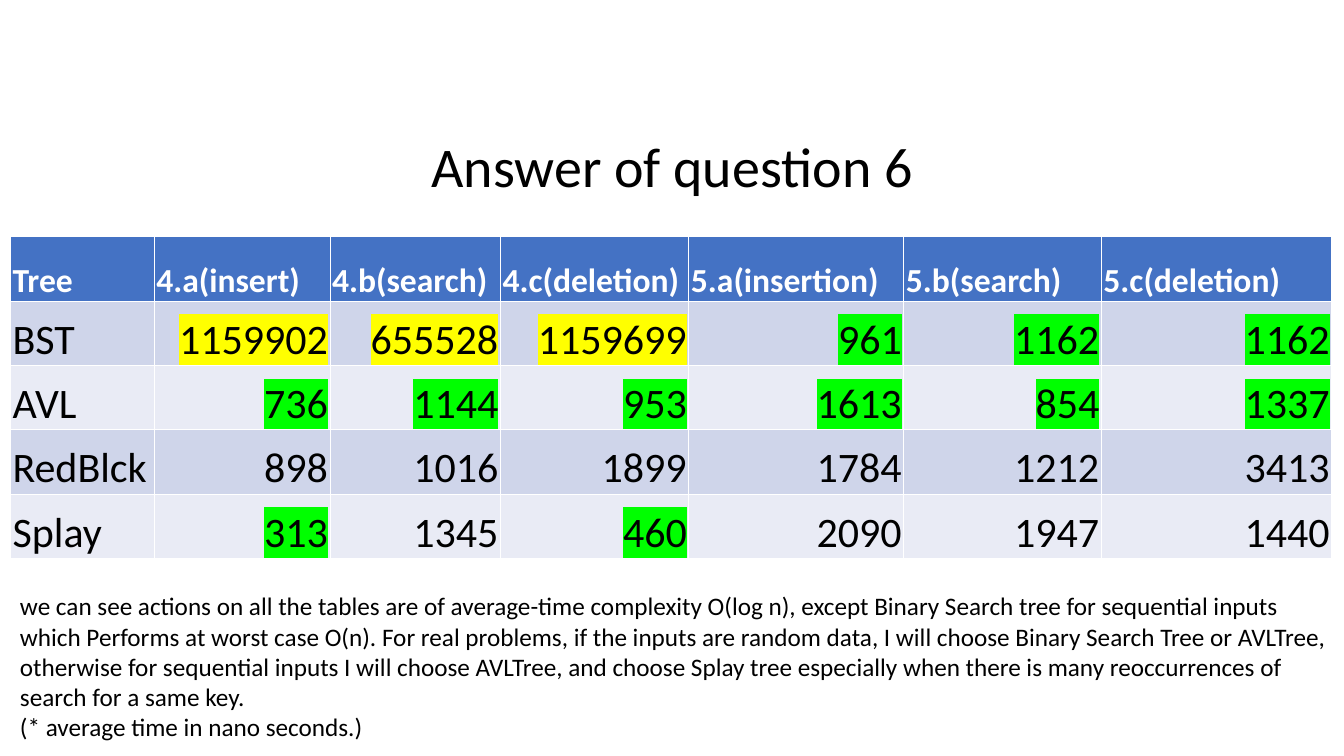
import pptx
import pptx.util
import pptx.dml.color
import pptx.enum.text
import pptx.oxml
import pptx.oxml.ns

Pt = pptx.util.Pt
Align = pptx.enum.text.PP_ALIGN
Anchor = pptx.enum.text.MSO_ANCHOR

TITLE = "Answer of question 6"
HEAD = ["Tree", "4.a(insert)", "4.b(search)", "4.c(deletion)",
        "5.a(insertion)", "5.b(search)", "5.c(deletion)"]
ROWS = [
    ["BST", "1159902", "655528", "1159699", "961", "1162", "1162"],
    ["AVL", "736", "1144", "953", "1613", "854", "1337"],
    ["RedBlck", "898", "1016", "1899", "1784", "1212", "3413"],
    ["Splay", "313", "1345", "460", "2090", "1947", "1440"],
]
MARKS = ["-YYYGGG", "-GGGGGG", "-------", "-G-G---"]
TINTS = {"Y": "FFFF00", "G": "00FF00"}
NOTES = [
    "we can see actions on all the tables are of average-time complexity O(log n), "
    "except Binary Search tree for sequential inputs which Performs at worst case O(n). "
    "For real problems, if the inputs are random data, I will choose Binary Search Tree "
    "or AVLTree, otherwise for sequential inputs I will choose AVLTree, and choose Splay "
    "tree especially when there is many reoccurrences of search for a same key.",
    "(* average time in nano seconds.)",
]
WIDTHS = [102.7, 125.6, 121.7, 134.6, 153.6, 141.1, 164.6]
HIGH = 45.95
FONT = "Calibri"


def color(code):
    return pptx.dml.color.RGBColor.from_string(code)


def style(para, size, code="000000", bold=False, align=Align.LEFT):
    para.alignment = align
    for run in para.runs:
        run.font.size = Pt(size)
        run.font.name = FONT
        run.font.bold = bold
        run.font.color.rgb = color(code)


def mark(run, code):
    tint = pptx.oxml.parse_xml(
        f'<a:highlight {pptx.oxml.ns.nsdecls("a")}><a:srgbClr val="{code}"/></a:highlight>')
    props = run._r.get_or_add_rPr()
    props.find(pptx.oxml.ns.qn("a:latin")).addprevious(tint)


def put(cell, text, fill, **look):
    cell.text = text
    cell.fill.solid()
    cell.fill.fore_color.rgb = color(fill)
    cell.vertical_anchor = Anchor.BOTTOM
    cell.margin_left = cell.margin_right = cell.margin_top = Pt(1.5)
    cell.margin_bottom = Pt(0)
    style(cell.text_frame.paragraphs[0], **look)


def add_title(slide):
    title = slide.shapes.title
    title.left, title.top, title.width, title.height = Pt(66), Pt(44), Pt(828), Pt(102)
    frame = title.text_frame
    frame.text = TITLE
    frame.vertical_anchor = Anchor.BOTTOM
    para = frame.paragraphs[0]
    para.line_spacing = 0.9
    para.space_after = Pt(6)
    style(para, 40, align=Align.CENTER)


def add_grid(slide):
    count = len(ROWS) + 1
    grid = slide.shapes.add_table(count, len(HEAD), Pt(7.5), Pt(169.2),
                                  Pt(sum(WIDTHS)), Pt(HIGH * count)).table
    for col, width in zip(grid.columns, WIDTHS):
        col.width = Pt(width)
    for row in grid.rows:
        row.height = Pt(HIGH)
    for c, text in enumerate(HEAD):
        put(grid.cell(0, c), text, "4472C4", size=24, code="FFFFFF", bold=True)
    for r, (row, marks) in enumerate(zip(ROWS, MARKS), 1):
        fill = "CFD5EA" if r % 2 else "E9EBF5"
        for c, (text, key) in enumerate(zip(row, marks)):
            cell = grid.cell(r, c)
            put(cell, text, fill, size=30, align=Align.RIGHT if c else Align.LEFT)
            if key in TINTS:
                mark(cell.text_frame.paragraphs[0].runs[0], TINTS[key])


def add_notes(slide):
    box = slide.shapes.add_textbox(Pt(7.2), Pt(418.3), Pt(952.6), Pt(138.2))
    frame = box.text_frame
    frame.word_wrap = True
    frame.text = "\n".join(NOTES)
    for para in frame.paragraphs:
        style(para, 18)


def main():
    deck = pptx.Presentation()
    deck.slide_width, deck.slide_height = Pt(960), Pt(540)
    slide = deck.slides.add_slide(deck.slide_layouts[5])
    add_title(slide)
    add_grid(slide)
    add_notes(slide)
    deck.save("out.pptx")


if __name__ == "__main__":
    main()
